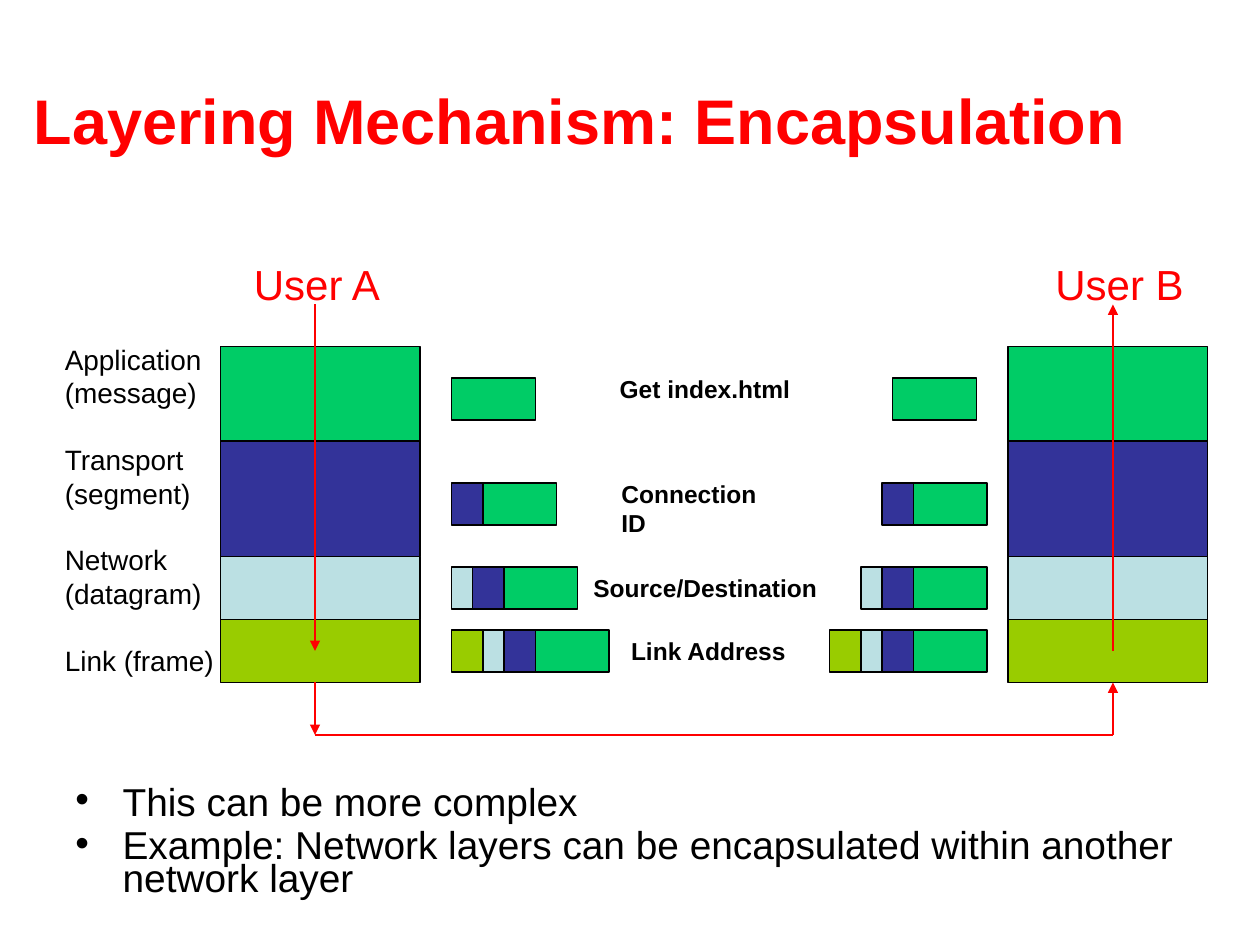
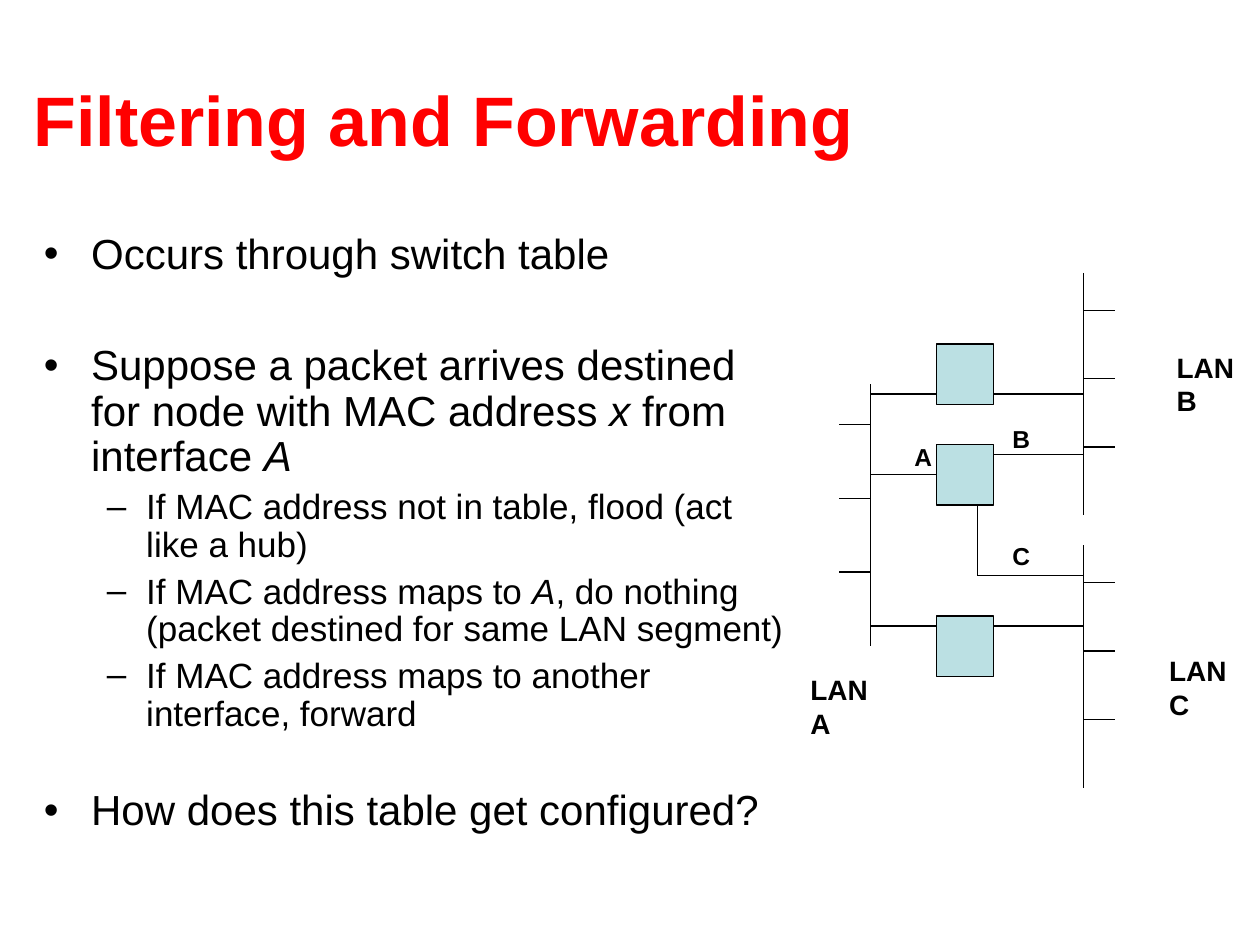
"""Build two networking slides: encapsulation, and filtering and forwarding."""
import pptx
import pptx.dml.color
import pptx.enum.shapes
import pptx.enum.text
import pptx.oxml.ns
import pptx.util
from lxml import etree

Pt = pptx.util.Pt
FONT = "Arial"
COLORS = {
    "text": "000000",
    "accent": "FF0000",
    "application": "00CC66",
    "transport": "333399",
    "network": "BBE0E3",
    "link": "99CC00",
}
LAYERS = [("application", 54), ("transport", 66), ("network", 36), ("link", 36)]
SEGMENTS = [("application", 48, 42), ("transport", 24, 18), ("network", 24, 12), ("link", 18, 18)]
PACKETS = [(216, 48, 558), (276, 60, 564), (324, 72, 564), (360, 90, 564)]
BULLETS = [("•", 27, 27), ("–", 58.5, 22.5)]


def rgb(name):
    return pptx.dml.color.RGBColor.from_string(COLORS[name])


def add_run(paragraph, text, size, color="text", bold=False, italic=False):
    run = paragraph.add_run()
    run.text = text
    run.font.name = FONT
    run.font.size = Pt(size)
    run.font.bold = bold
    run.font.italic = italic
    run.font.color.rgb = rgb(color)


def add_titled_slide(deck, text, size):
    slide = deck.slides.add_slide(deck.slide_layouts[5])
    title = slide.shapes.title
    title.left, title.top, title.width, title.height = Pt(12), Pt(23), Pt(690), Pt(90)
    frame = title.text_frame
    frame.word_wrap = True
    frame.auto_size = pptx.enum.text.MSO_AUTO_SIZE.NONE
    frame.vertical_anchor = pptx.enum.text.MSO_ANCHOR.MIDDLE
    frame.paragraphs[0].alignment = pptx.enum.text.PP_ALIGN.LEFT
    add_run(frame.paragraphs[0], text, size, "accent", bold=True)
    return slide


def add_frame(slide, left, top, width, height, wrap=True):
    box = slide.shapes.add_textbox(Pt(left), Pt(top), Pt(width), Pt(height))
    box.text_frame.word_wrap = wrap
    return box.text_frame


def next_paragraph(frame, index):
    return frame.add_paragraph() if index else frame.paragraphs[0]


def add_label(slide, text, left, top, width, height, size, color="text", bold=True, wrap=False):
    frame = add_frame(slide, left, top, width, height, wrap)
    add_run(frame.paragraphs[0], text, size, color, bold)


def add_layer_names(slide, names):
    frame = add_frame(slide, 30, 192, 114, 199.5)
    for index, lines in enumerate(names):
        paragraph = next_paragraph(frame, index)
        if index:
            paragraph.space_before = Pt(19)
        for number, line in enumerate(lines):
            if number:
                paragraph.add_line_break()
            add_run(paragraph, line, 16)


def set_bullet(paragraph, level):
    char, margin, hanging = BULLETS[level]
    properties = paragraph._p.get_or_add_pPr()
    properties.set("marL", str(Pt(margin)))
    properties.set("indent", str(-Pt(hanging)))
    qn = pptx.oxml.ns.qn
    color = etree.SubElement(properties, qn("a:buClr"))
    etree.SubElement(color, qn("a:srgbClr"), val=COLORS["text"])
    etree.SubElement(properties, qn("a:buFont"), typeface=FONT)
    etree.SubElement(properties, qn("a:buChar"), char=char)


def add_bullets(slide, area, items, line_spacing):
    frame = add_frame(slide, *area)
    for index, (level, size, space_before, pieces) in enumerate(items):
        paragraph = next_paragraph(frame, index)
        paragraph.level = level
        set_bullet(paragraph, level)
        paragraph.line_spacing = line_spacing
        if index:
            paragraph.space_before = Pt(space_before)
        for number, piece in enumerate(pieces):
            add_run(paragraph, piece, size, italic=number % 2 == 1)


def add_block(slide, layer, left, top, width, height):
    block = slide.shapes.add_shape(
        pptx.enum.shapes.MSO_SHAPE.RECTANGLE, Pt(left), Pt(top), Pt(width), Pt(height))
    block.shadow.inherit = False
    block.fill.solid()
    block.fill.fore_color.rgb = rgb(layer)
    block.line.color.rgb = rgb("text")
    block.line.width = Pt(0.75)
    return block


def add_line(slide, x1, y1, x2, y2, color="text", arrow=False):
    line = slide.shapes.add_connector(
        pptx.enum.shapes.MSO_CONNECTOR.STRAIGHT, Pt(x1), Pt(y1), Pt(x2), Pt(y2))
    line.line.color.rgb = rgb(color)
    line.line.width = Pt(0.75)
    qn = pptx.oxml.ns.qn
    if arrow:
        etree.SubElement(line.line._get_or_add_ln(), qn("a:tailEnd"), type="triangle")
    etree.SubElement(line._element.spPr, qn("a:effectLst"))
    return line


def add_stack(slide, left):
    top = 198
    for layer, height in LAYERS:
        add_block(slide, layer, left, top, 114, height)
        top += height


def add_packet(slide, left, top, width, depth):
    right = width
    for layer, full_width, visible_width in SEGMENTS[:depth]:
        start = max(0, right - full_width)
        add_block(slide, layer, left + start, top, right - start, 24)
        right -= visible_width


def add_lan(slide, x, top, height, first_tick, step, tick_length):
    add_line(slide, x, top, x, top + height)
    for number in range(3):
        y = top + first_tick + number * step
        add_line(slide, x, y, x + tick_length, y)


def build_encapsulation(deck):
    slide = add_titled_slide(deck, "Layering Mechanism: Encapsulation", 36)
    add_bullets(slide, (36, 448, 648, 74), [
        (0, 22.2, 0, ["This can be more complex"]),
        (0, 22.2, 6, ["Example: Network layers can be encapsulated within another network layer"]),
    ], 0.7)
    for stack_left in (126, 576):
        add_stack(slide, stack_left)
    for depth, (top, width, right_end) in enumerate(PACKETS, 1):
        for left in (258, right_end - width):
            add_packet(slide, left, top, width, depth)

    sender_x, receiver_x, wire_y = 180, 636, 420
    add_line(slide, sender_x, 174, sender_x, 372, "accent", arrow=True)
    add_line(slide, receiver_x, 372, receiver_x, 174, "accent", arrow=True)
    add_line(slide, sender_x, wire_y, receiver_x, wire_y, "accent")
    add_line(slide, sender_x, 390, sender_x, wire_y, "accent", arrow=True)
    add_line(slide, receiver_x, wire_y, receiver_x, 390, "accent", arrow=True)

    for text, left, top, width in [
        ("Get index.html", 347, 210, 112),
        ("Connection ID", 348, 270, 109),
        ("Source/Destination", 332, 324, 142.5),
        ("Link Address", 353.5, 360, 103.5),
    ]:
        add_label(slide, text, left, top, width, 24, 14)
    for user, left in [("User A", 138), ("User B", 596)]:
        add_label(slide, user, left, 144, 88, 36, 24, "accent", bold=False)
    add_layer_names(slide, [
        ("Application", "(message)"),
        ("Transport", "(segment)"),
        ("Network", "(datagram)"),
        ("Link (frame)",),
    ])


def build_forwarding(deck):
    slide = add_titled_slide(deck, "Filtering and Forwarding", 40)
    add_bullets(slide, (18, 129.5, 438, 356.5), [
        (0, 24, 0, ["Occurs through switch table"]),
        (0, 24, 38, ["Suppose a packet arrives destined for node with MAC address ",
                     "x ", "from interface ", "A"]),
        (1, 20, 5, ["If MAC address not in table, flood (act like a hub)"]),
        (1, 20, 5, ["If MAC address maps to ", "A",
                    ", do nothing (packet destined for same LAN segment)"]),
        (1, 20, 5, ["If MAC address maps to another interface, forward"]),
        (0, 24, 32, ["How does this table get configured?"]),
    ], 0.9)

    left_bus, right_bus = 497.5, 619
    add_lan(slide, left_bus, 219.5, 149.5, 23, 42.2, -18)
    for top in (156, 311.5):
        add_lan(slide, right_bus, top, 138.5, 21.5, 39, 18)

    switch_left, switch_width, switch_height = 535, 32.6, 34.6
    switch_right = switch_left + switch_width
    top_switch, middle_switch, bottom_switch = [
        add_block(slide, "network", switch_left, top, switch_width, switch_height)
        for top in (196.5, 254, 352)]
    for link_y in (225.2, 357.8):
        add_line(slide, left_bus, link_y, switch_left, link_y)
        add_line(slide, switch_right, link_y, right_bus, link_y)

    interface_a = add_line(slide, left_bus, 271.3, switch_left, 271.3)
    interface_a.end_connect(middle_switch, 1)
    add_line(slide, switch_right, 259.8, right_bus, 259.8)
    add_line(slide, 558.5, 288.6, 558.5, 329)
    add_line(slide, 558.5, 329, right_bus, 329)

    for text, left, top in [("LAN A", 456, 381), ("LAN B", 665.3, 196.5), ("LAN C", 661, 370)]:
        add_label(slide, text, left, top, 60.5, 46, 16, wrap=True)
    for text, left, top in [("A", 515.5, 249), ("B", 571.5, 239), ("C", 571.5, 305.5)]:
        add_label(slide, text, left, top, 24.5, 24.5, 14)


def main():
    deck = pptx.Presentation()
    deck.slide_width, deck.slide_height = Pt(720), Pt(540)
    build_encapsulation(deck)
    build_forwarding(deck)
    deck.save("out.pptx")


if __name__ == "__main__":
    main()
